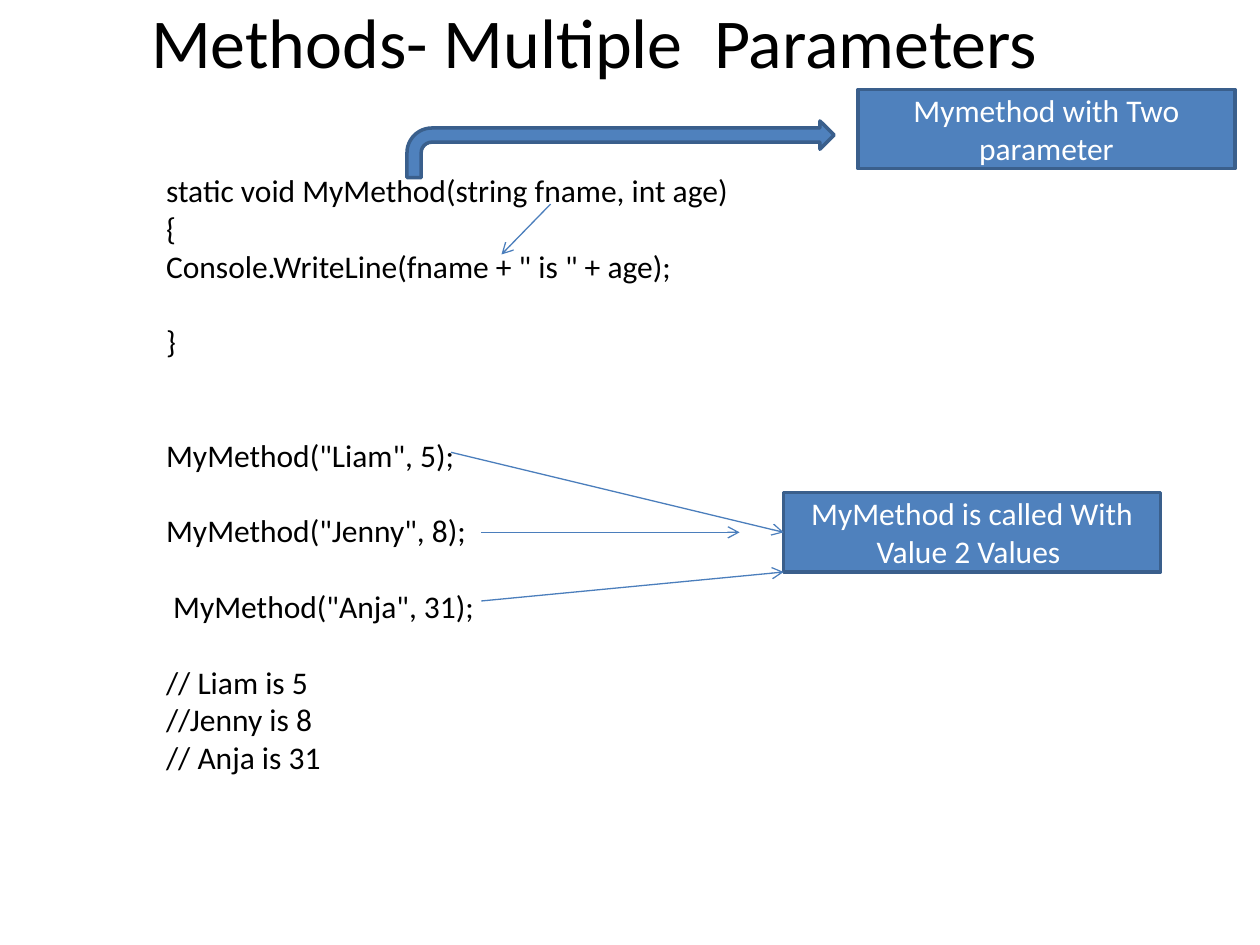
from lxml import etree
from pptx import Presentation
from pptx import util as u
from pptx.dml.color import RGBColor
from pptx.enum import shapes, text
from pptx.oxml.ns import qn

COLS, ROWS = 100, 75
BLUE, EDGE, WIRE = "4F81BD", "3A5F8C", "4B7EBC"
BLACK, WHITE = "000000", "FFFFFF"
LINE_PITCH = 21.6
LABEL_SIZE = (29.9, 6.3)
CODE = [
    (0, "static void MyMethod(string fname, int age)"),
    (0, "{"),
    (0, 'Console.WriteLine(fname + " is " + age);'),
    (1, "}"),
    (2, 'MyMethod("Liam", 5);'),
    (1, 'MyMethod("Jenny", 8);'),
    (1, ' MyMethod("Anja", 31);'),
    (1, "// Liam is 5"),
    (0, "//Jenny is 8"),
    (0, "// Anja is 31"),
]

prs = Presentation()
prs.slide_width, prs.slide_height = u.Inches(10), u.Inches(7.5)


def rgb(value):
    return RGBColor.from_string(value)


def apply(obj, **values):
    for name, value in values.items():
        setattr(obj, name, value)


def col(n):
    return round(prs.slide_width * n / COLS)


def row(n):
    return round(prs.slide_height * n / ROWS)


def place(x, y, w, h):
    return col(x), row(y), col(w), row(h)


def write(p, words, size, color):
    r = p.add_run()
    r.text = words
    apply(r.font, name="Calibri", size=u.Pt(size))
    r.font.color.rgb = rgb(color)


def add_block(s, kind, box):
    sp = s.shapes.add_shape(kind, *place(*box))
    sp.shadow.inherit = False
    sp.fill.solid()
    sp.fill.fore_color.rgb = rgb(BLUE)
    sp.line.color.rgb = rgb(EDGE)
    sp.line.width = u.Pt(2)
    return sp


def add_label(s, x, y, words):
    sp = add_block(s, shapes.MSO_SHAPE.RECTANGLE, (x, y, *LABEL_SIZE))
    tf = sp.text_frame
    apply(tf, word_wrap=True, vertical_anchor=text.MSO_ANCHOR.MIDDLE)
    p = tf.paragraphs[0]
    p.alignment = text.PP_ALIGN.CENTER
    write(p, words, 18, WHITE)
    return sp


def add_arrow(s, x1, y1, x2, y2):
    c = s.shapes.add_connector(
        shapes.MSO_CONNECTOR.STRAIGHT, col(x1), row(y1), col(x2), row(y2))
    c.line.color.rgb = rgb(WIRE)
    c.line.width = u.Pt(0.75)
    etree.SubElement(c.line._get_or_add_ln(), qn("a:tailEnd"), type="arrow")
    etree.SubElement(c._element.spPr, qn("a:effectLst"))
    return c


def add_title(s, box, words):
    sp = s.shapes.title
    apply(sp, **dict(zip(("left", "top", "width", "height"), place(*box))))
    tf = sp.text_frame
    apply(tf, word_wrap=False, auto_size=text.MSO_AUTO_SIZE.NONE,
          vertical_anchor=text.MSO_ANCHOR.TOP)
    p = tf.paragraphs[0]
    p.alignment = text.PP_ALIGN.LEFT
    write(p, words, 40, BLACK)


def add_code(s, box):
    tf = s.shapes.add_textbox(*place(*box)).text_frame
    tf.word_wrap = True
    for i, (gap, words) in enumerate(CODE):
        p = tf.add_paragraph() if i else tf.paragraphs[0]
        p.space_before = u.Pt(gap * LINE_PITCH)
        write(p, words, 18, BLACK)


def add_definition(s, box):
    x, y, w, h = box
    add_label(s, x + w - LABEL_SIZE[0], y, "Mymethod with Two parameter")
    add_block(s, shapes.MSO_SHAPE.BENT_ARROW, (x, y + 2.5, 33.9, 4.5))
    add_arrow(s, x + 11.4, y + 9.1, x + 7.5, y + h)


def add_calls(s, box):
    x, y, w, h = box
    left, top = x + w - LABEL_SIZE[0], y + 3.2
    middle = top + LABEL_SIZE[1] / 2
    label = add_label(s, left, top, "MyMethod is called With Value 2 Values ")
    add_arrow(s, x, y, left, middle).end_connect(label, 1)
    add_arrow(s, x + 2.4, middle, left - 3.5, middle)
    add_arrow(s, x + 2.4, y + h, left, top + LABEL_SIZE[1])


def main():
    s = prs.slides.add_slide(prs.slide_layouts[5])
    add_title(s, (11, -0.6, 73.1, 7.7), "Methods- Multiple  Parameters")
    add_code(s, (12.2, 13.1, 60.6, 49.5))
    add_definition(s, (32.3, 7.1, 65.7, 13.1))
    add_calls(s, (35.8, 35.9, 56.3, 11.8))
    prs.save("out.pptx")


if __name__ == "__main__":
    main()
